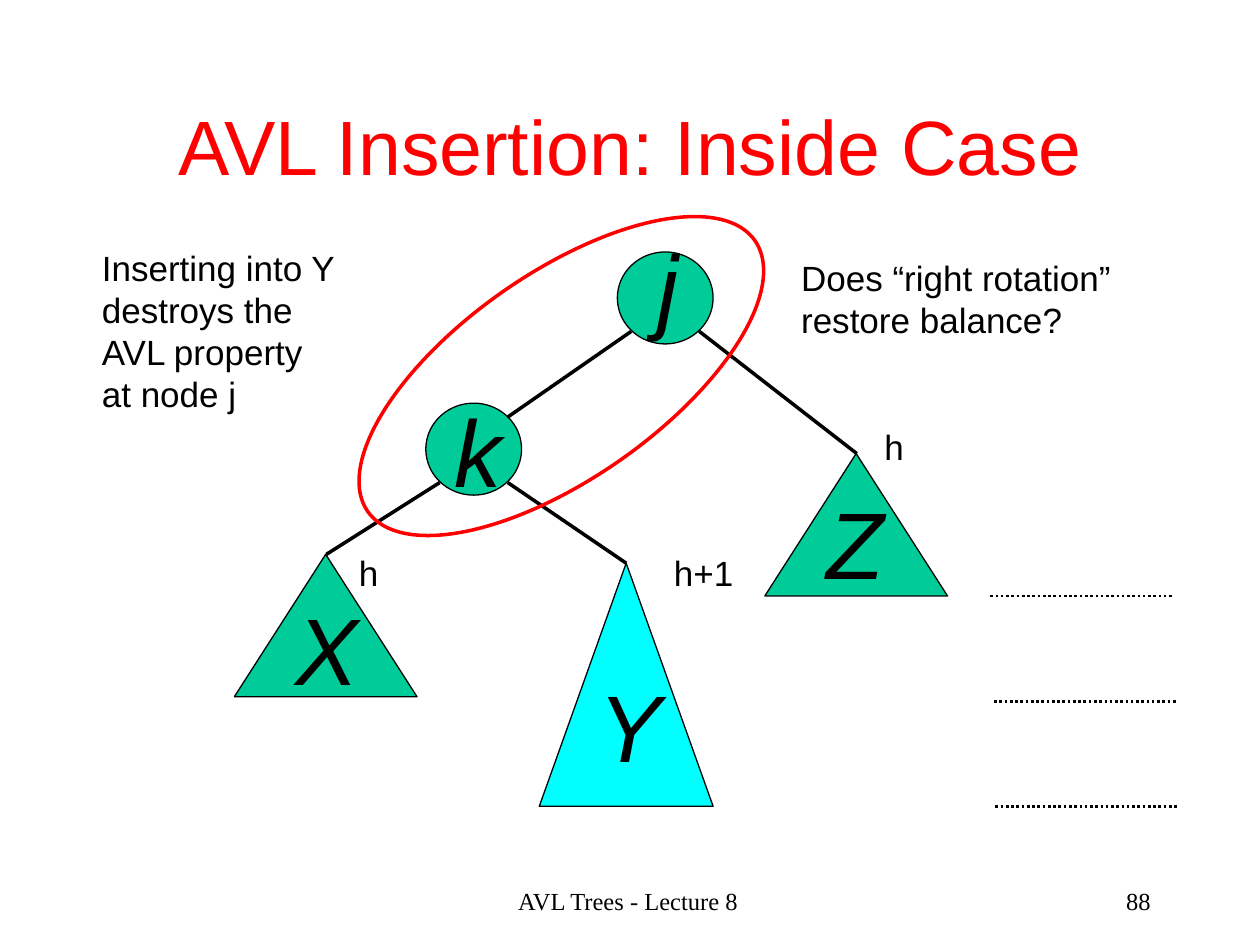
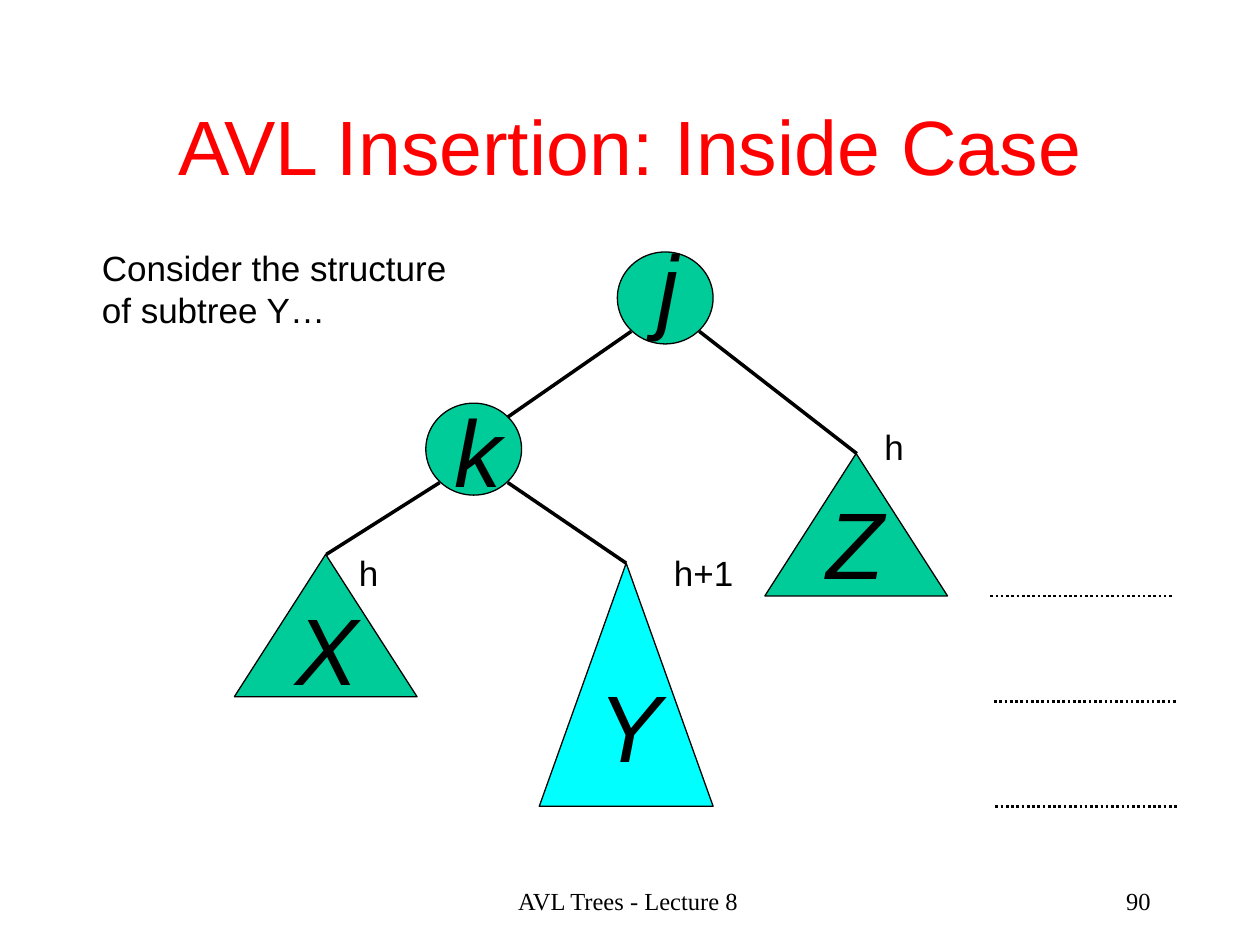
from lxml import etree
from pptx import Presentation
from pptx.dml.color import RGBColor
from pptx.enum.dml import MSO_LINE
from pptx.enum.shapes import MSO_CONNECTOR, MSO_SHAPE
from pptx.enum.text import MSO_ANCHOR, MSO_AUTO_SIZE, PP_ALIGN
from pptx.oxml.ns import qn
from pptx.util import Inches, Pt

LEFT, CENTER, RIGHT = PP_ALIGN.LEFT, PP_ALIGN.CENTER, PP_ALIGN.RIGHT
OVAL, TRIANGLE = MSO_SHAPE.OVAL, MSO_SHAPE.ISOSCELES_TRIANGLE
STRAIGHT, DOTTED = MSO_CONNECTOR.STRAIGHT, MSO_LINE.ROUND_DOT
MIDDLE, NO_FIT = MSO_ANCHOR.MIDDLE, MSO_AUTO_SIZE.NONE

COLORS = {
    name: RGBColor.from_string(value)
    for name, value in {
        "black": "000000",
        "red": "FF0000",
        "green": "00CC99",
        "cyan": "00FFFF",
    }.items()
}
FOOTER = "AVL Trees - Lecture 8"
TITLE = "AVL Insertion: Inside Case"
NODE_SIZE = (0.76, 0.73)
SUBTREE_SIZE = (1.45, 1.13)

SLIDES = [
    {
        "number": "88",
        "notes": [
            ("Inserting into Y\ndestroys the\nAVL property\nat node j", (0.71, 1.91, 2.51, 1.7)),
            ("Does “right rotation”\nrestore balance?", (6.26, 1.99, 3.14, 0.9)),
        ],
        "circled": True,
    },
    {
        "number": "90",
        "notes": [("Consider the structure\nof subtree Y…", (0.71, 1.91, 3.48, 0.9))],
        "circled": False,
    },
]
TREE = [
    (OVAL, (4.9, 2), NODE_SIZE, "green", "j", (5.12, 1.76)),
    (OVAL, (3.38, 3.2), NODE_SIZE, "green", "k", (3.51, 3.07)),
    (TRIANGLE, (1.86, 4.4), SUBTREE_SIZE, "green", "X", (2.25, 4.64)),
    (TRIANGLE, (4.28, 4.47), (1.38, 1.93), "cyan", "Y", (4.65, 5.25)),
    (TRIANGLE, (6.07, 3.6), SUBTREE_SIZE, "green", "Z", (6.46, 3.8)),
]
EDGES = [
    (5.01, 2.63, 4.03, 3.31),
    (5.55, 2.63, 6.8, 3.6),
    (3.49, 3.83, 2.59, 4.4),
    (4.03, 3.83, 4.97, 4.47),
]
LEVELS = [(7.86, 4.73), (7.89, 5.57), (7.9, 6.4)]
HEIGHTS = [("h", 6.92, 3.33, 0.36), ("h+1", 5.25, 4.33, 0.7), ("h", 2.75, 4.33, 0.36)]


def write(sp, text, size, color="black", font="Arial", align=LEFT, italic=False):
    tf = sp.text_frame
    tf.word_wrap = True
    tf.auto_size = NO_FIT
    tf.text = text
    for p in tf.paragraphs:
        p.alignment = align
        p.line_spacing = Pt(1.2 * size)
        p.space_before = Pt(0)
        for r in p.runs:
            r.font.name = font
            r.font.size = Pt(size)
            r.font.italic = italic
            r.font.color.rgb = COLORS[color]


def add_line(s, ends, width):
    sp = s.shapes.add_connector(STRAIGHT, *map(Inches, ends))
    sp.line.color.rgb = COLORS["black"]
    sp.line.width = Pt(width)
    etree.SubElement(sp._element.spPr, qn("a:effectLst"))
    return sp


prs = Presentation()
prs.slide_width, prs.slide_height = Inches(10), Inches(7.5)

for content in SLIDES:
    s = prs.slides.add_slide(prs.slide_layouts[5])
    title = s.shapes.title
    title.left, title.top = Inches(0.73), Inches(0.71)
    title.width, title.height = Inches(8.55), Inches(0.88)
    write(title, TITLE, 44, "red", align=CENTER)
    title.text_frame.vertical_anchor = MIDDLE

    for text, left, width, align in [
        (FOOTER, 3.4, 3.17, CENTER),
        (content["number"], 7.15, 2.08, RIGHT),
    ]:
        sp = s.shapes.add_textbox(*map(Inches, (left, 6.98, width, 0.5)))
        write(sp, text, 14, font="Times New Roman", align=align)

    for shape, place, size, fill, letter, letter_place in TREE:
        sp = s.shapes.add_shape(shape, *map(Inches, place + size))
        sp.shadow.inherit = False
        sp.fill.solid()
        sp.fill.fore_color.rgb = COLORS[fill]
        sp.line.color.rgb = COLORS["black"]
        sp.line.width = Pt(0.75)
        sp = s.shapes.add_textbox(*map(Inches, letter_place + (0.46, 1)))
        write(sp, letter, 54, italic=True)

    for ends in EDGES:
        add_line(s, ends, 2)
    for left, top in LEVELS:
        add_line(s, (left, top, left + 1.45, top), 1.5).line.dash_style = DOTTED

    for text, box in content["notes"]:
        write(s.shapes.add_textbox(*map(Inches, box)), text, 20)
    for text, left, top, width in HEIGHTS:
        write(s.shapes.add_textbox(*map(Inches, (left, top, width, 0.44))), text, 20)

    if content["circled"]:
        sp = s.shapes.add_shape(OVAL, *map(Inches, (2.58, 2.17, 3.75, 1.63)))
        sp.rotation = 325
        sp.shadow.inherit = False
        sp.fill.background()
        sp.line.color.rgb = COLORS["red"]
        sp.line.width = Pt(2)

prs.save("out.pptx")
